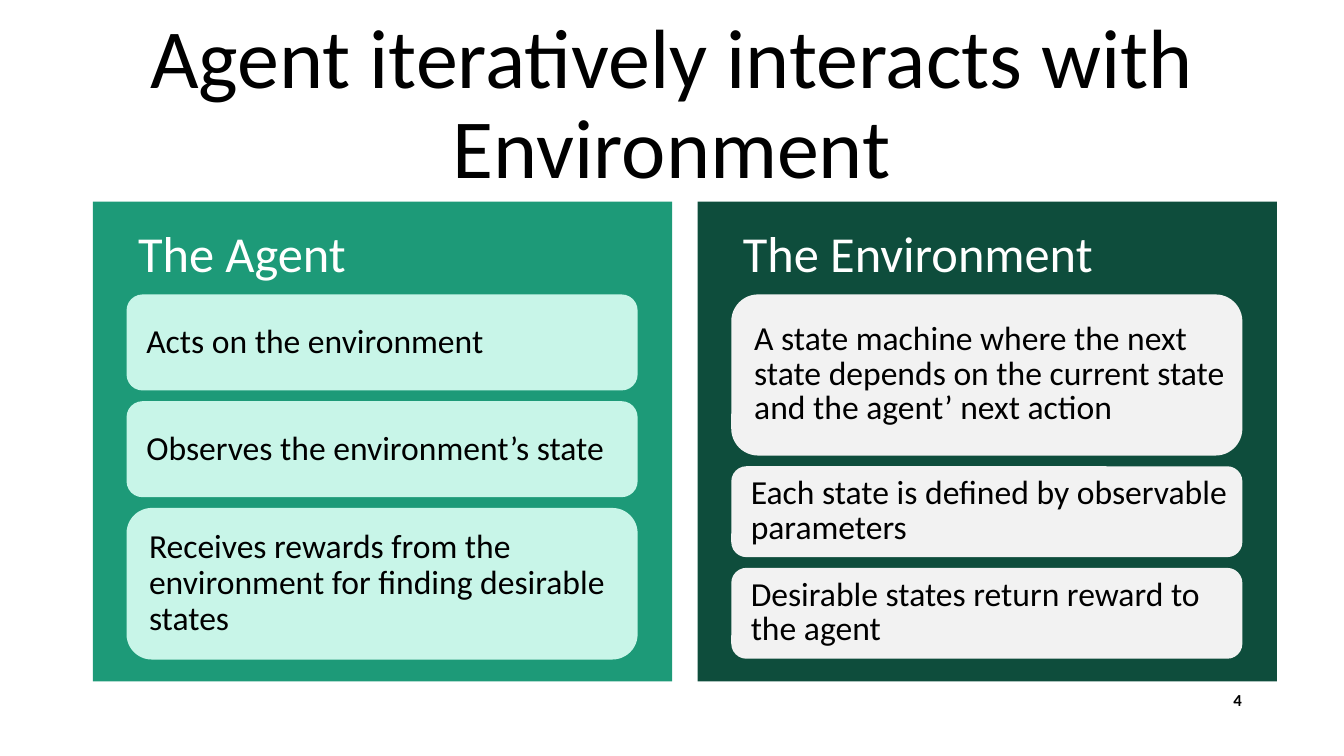
from dataclasses import dataclass

from pptx import Presentation
from pptx.dml.color import RGBColor
from pptx.enum.shapes import MSO_SHAPE
from pptx.enum.text import MSO_ANCHOR, PP_ALIGN
from pptx.util import Cm, Pt

RECTANGLE, ROUNDED = MSO_SHAPE.RECTANGLE, MSO_SHAPE.ROUNDED_RECTANGLE
TOP, MIDDLE = MSO_ANCHOR.TOP, MSO_ANCHOR.MIDDLE
LEFT, CENTER, RIGHT = PP_ALIGN.LEFT, PP_ALIGN.CENTER, PP_ALIGN.RIGHT

FONT = "Calibri"
COLORS = {
    "black": "000000",
    "white": "FFFFFF",
    "green": "1D9A78",
    "mint": "C8F5E8",
    "dark green": "0E4D3C",
    "light grey": "F2F2F2",
}

# Panel and card layout, in centimetres
PANEL_TOP, PANEL_WIDTH, PANEL_HEIGHT = 5.08, 14.6, 12.09
CARD_INDENT, CARD_TOP, CARD_WIDTH, CARD_GAP = 0.85, 7.42, 12.88, 0.27
PANEL_INSETS = (1.14, 0.51, 0.13, 0.05)
CARD_INSETS = (0.38, 0.05, 0.13, 0.05)
PLAIN_INSETS = (0.25, 0.13, 0.25, 0.13)


@dataclass
class Card:
    text: str
    height: float


@dataclass
class Panel:
    heading: str
    left: float
    color: str
    card_color: str
    line_spacing: float
    cards: list[Card]


PANELS = [
    Panel("The Agent", 2.34, "green", "mint", 0.9, [
        Card("Acts on the environment", 2.42),
        Card("Observes the environment’s state", 2.42),
        Card("Receives rewards from the environment for finding desirable states", 3.82),
    ]),
    Panel("The Environment", 17.58, "dark green", "light grey", 0.85, [
        Card("A state machine where the next state depends on the current state "
             "and the agent’ next action", 4.06),
        Card("Each state is defined by observable parameters", 2.29),
        Card("Desirable states return reward to the agent", 2.29),
    ]),
]


def write(box, text: str, size: float, color: str = "black", align=LEFT, anchor=TOP,
          insets: tuple = PLAIN_INSETS, spacing: float = 1.0, bold: bool = False) -> None:
    frame = box.text_frame
    frame.text = text
    frame.word_wrap = True
    frame.vertical_anchor = anchor
    frame.margin_left, frame.margin_top, frame.margin_right, frame.margin_bottom = map(Cm, insets)
    para = frame.paragraphs[0]
    para.alignment = align
    para.line_spacing = spacing
    font = para.runs[0].font
    font.name, font.size, font.bold = FONT, Pt(size), bold
    font.color.rgb = RGBColor.from_string(COLORS[color])


def add_block(page, kind, left: float, top: float, width: float, height: float, color: str):
    block = page.shapes.add_shape(kind, Cm(left), Cm(top), Cm(width), Cm(height))
    block.shadow.inherit = False
    block.fill.solid()
    block.fill.fore_color.rgb = RGBColor.from_string(COLORS[color])
    block.line.fill.background()
    return block


def draw_panel(page, panel: Panel) -> None:
    back = add_block(page, RECTANGLE, panel.left, PANEL_TOP, PANEL_WIDTH, PANEL_HEIGHT, panel.color)
    write(back, panel.heading, 36, "white", insets=PANEL_INSETS)
    top = CARD_TOP
    for card in panel.cards:
        block = add_block(page, ROUNDED, panel.left + CARD_INDENT, top,
                          CARD_WIDTH, card.height, panel.card_color)
        write(block, card.text, 24, anchor=MIDDLE, insets=CARD_INSETS, spacing=panel.line_spacing)
        top += card.height + CARD_GAP


def main() -> None:
    deck = Presentation()
    deck.slide_width, deck.slide_height = Cm(33.87), Cm(19.05)
    page = deck.slides.add_slide(deck.slide_layouts[6])

    # Title
    title = page.shapes.add_textbox(Cm(1.68), Cm(0.84), Cm(30.5), Cm(3.68))
    write(title, "Agent iteratively interacts with Environment", 60,
          align=CENTER, anchor=MIDDLE, spacing=0.9)

    # Slide number
    number = page.shapes.add_textbox(Cm(23.93), Cm(17.25), Cm(7.62), Cm(1.02))
    write(number, "4", 12, align=RIGHT, bold=True)

    # Panels with their cards
    for panel in PANELS:
        draw_panel(page, panel)

    deck.save("out.pptx")


if __name__ == "__main__":
    main()
